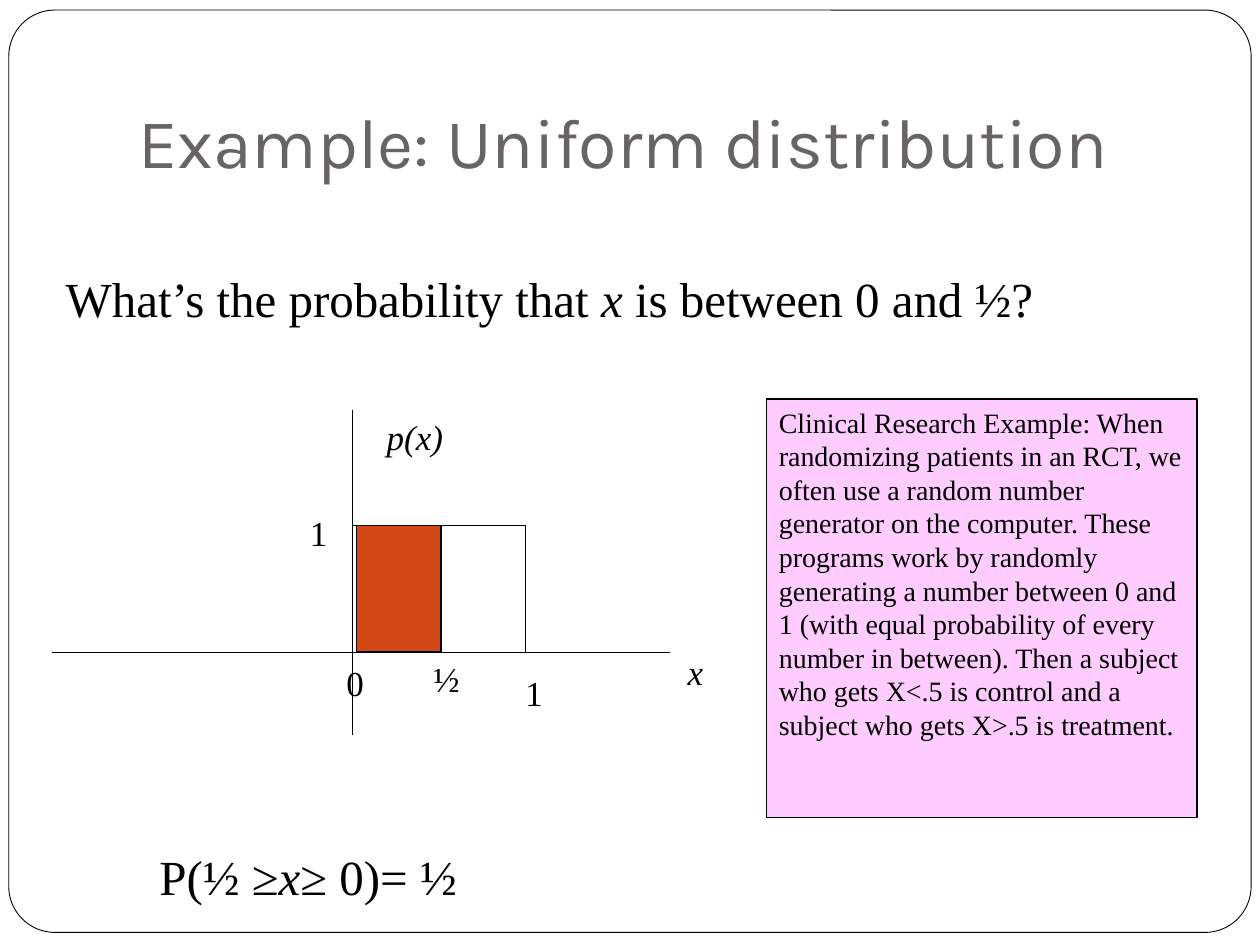
from collections import namedtuple

from lxml import etree
from pptx import Presentation, util as u
from pptx.dml.color import RGBColor
from pptx.enum import shapes, text
from pptx.oxml import ns

BLACK = RGBColor(0x00, 0x00, 0x00)
WHITE = RGBColor(0xFF, 0xFF, 0xFF)
GRAY = RGBColor(0x69, 0x64, 0x64)
PINK = RGBColor(0xFF, 0xCC, 0xFF)
ORANGE = RGBColor(0xD3, 0x48, 0x17)
SERIF = "Times New Roman"
COLUMNS, ROWS = 120, 90
CELL = u.Inches(10) / COLUMNS
SIDE_INSETS = (0.1, 0.05, 0.1, 0.05)
FLAT_INSETS = (0.1, 0.05, 0.1, 0)
NO_INSETS = (0, 0, 0, 0)

Box = namedtuple("Box", "left top width height")


def within(box, left, top, width, height):
    """Return a box whose corner is counted from the corner of another."""
    return Box(box.left + left, box.top + top, width, height)


def to_emu(box):
    """Turn grid columns and rows into slide lengths."""
    return [u.Emu(round(length * CELL)) for length in box]


def write(frame, spans, size, color=BLACK, font=SERIF, insets=SIDE_INSETS):
    """Fill a text frame with one paragraph of (wording, italic) spans."""
    frame.word_wrap = True
    (frame.margin_left, frame.margin_top,
     frame.margin_right, frame.margin_bottom) = map(u.Inches, insets)
    para = frame.paragraphs[0]
    para.alignment = text.PP_ALIGN.LEFT
    para.font.name, para.font.size = font, u.Pt(size)
    para.font.color.rgb = color
    for wording, italic in spans:
        span = para.add_run()
        span.text = wording
        if italic:
            span.font.italic = True


def add_text(parent, box, spans, size, **style):
    """Add a text box and return its frame."""
    frame = parent.shapes.add_textbox(*to_emu(box)).text_frame
    write(frame, spans, size, **style)
    return frame


def add_panel(parent, box, fill=None, weight=0.75,
              kind=shapes.MSO_SHAPE.RECTANGLE):
    """Add an outlined shape, hollow unless a fill is given."""
    panel = parent.shapes.add_shape(kind, *to_emu(box))
    panel.shadow.inherit = False
    if fill is None:
        panel.fill.background()
    else:
        panel.fill.solid()
        panel.fill.fore_color.rgb = fill
    panel.line.color.rgb = BLACK
    panel.line.width = u.Pt(weight)
    return panel


def add_axis(parent, box):
    """Add a straight line from corner to corner of a box."""
    left, top, width, height = to_emu(box)
    axis = parent.shapes.add_connector(
        shapes.MSO_CONNECTOR.STRAIGHT, left, top, left + width, top + height)
    axis.line.color.rgb = BLACK
    axis.line.width = u.Pt(0.75)
    etree.SubElement(axis.element.spPr, ns.qn("a:effectLst"))


def add_frame(page, box):
    """Draw the rounded border of the page."""
    border = add_panel(page, box, WHITE, 0.5,
                       shapes.MSO_SHAPE.ROUNDED_RECTANGLE)
    border.adjustments[0] = 0.05


def add_title(page, box):
    """Set the title at the foot of its box."""
    frame = add_text(page, box, [("Example: Uniform distribution", False)], 40,
                     color=GRAY, font="Karla", insets=(0.1, 0.05, 0.1, 0.1))
    frame.vertical_anchor = text.MSO_ANCHOR.BOTTOM


def add_statement(page, box, spans):
    """Set one large line of mathematics."""
    add_text(page, box, spans, 28, insets=FLAT_INSETS)


def add_density(page, box):
    """Draw the uniform density with its axes, shaded half and labels."""
    graph = page.shapes.add_group_shape()
    origin_x, origin_y = 28.6, 23.16
    unit_x, unit_y = 16.44, 12.12
    peak = origin_y - unit_y
    add_axis(graph, within(box, origin_x, 0, 0, box.height))
    add_axis(graph, within(box, 0, origin_y, 58.8, 0))
    add_panel(graph, within(box, origin_x, peak, unit_x, unit_y))
    add_panel(graph, within(box, origin_x + 0.36, peak, 8.04, 12), ORANGE)
    names = [("x", 59.32, 22.32, 5.76), ("p(x)", 30.64, 0, 9.72)]
    for name, left, top, width in names:
        add_text(graph, within(box, left, top, width, 5.64),
                 [(name, True)], 20)
    ticks = [("1", 24.52, 9.72, 1.68, 3.36), ("1", 45.04, 24.96, 1.68, 3.36),
             ("½", 36.28, 23.64, 3.6, 4.68), ("0", 28, 24, 3.6, 4.68)]
    for tick, *place in ticks:
        add_text(graph, within(box, *place), [(tick, False)], 20,
                 insets=NO_INSETS)


def add_example(page, box):
    """Add the pink panel with the clinical example."""
    panel = add_panel(page, box, PINK)
    panel.text_frame.vertical_anchor = text.MSO_ANCHOR.TOP
    write(panel.text_frame, [(
        "Clinical Research Example: When randomizing patients in an RCT, we "
        "often use a random number generator on the computer. These programs "
        "work by randomly generating a number between 0 and 1 (with equal "
        "probability of every number in between). Then a subject who gets "
        "X<.5 is control and a subject who gets X>.5 is treatment.",
        False)], 16)


def main():
    """Build the slide and save it."""
    deck = Presentation()
    deck.slide_width = u.Emu(round(COLUMNS * CELL))
    deck.slide_height = u.Emu(round(ROWS * CELL))
    page = deck.slides.add_slide(deck.slide_layouts[6])
    add_frame(page, Box(0.84, 0.96, 118.32, 87.84))
    add_title(page, Box(12, 3.6, 102, 15))
    add_statement(page, Box(4, 25, 116, 6.24), [
        (" What’s the probability that ", False), ("x", True),
        (" is between 0 and ½?", False)])
    add_statement(page, Box(14, 80, COLUMNS, 6.24), [
        ("P(½ ≥", False), ("x", True), ("≥ 0)= ½", False)])
    add_example(page, Box(73, 38, 41, 39.84))
    add_density(page, Box(5, 39, 65, 31))
    deck.save("out.pptx")


if __name__ == "__main__":
    main()
